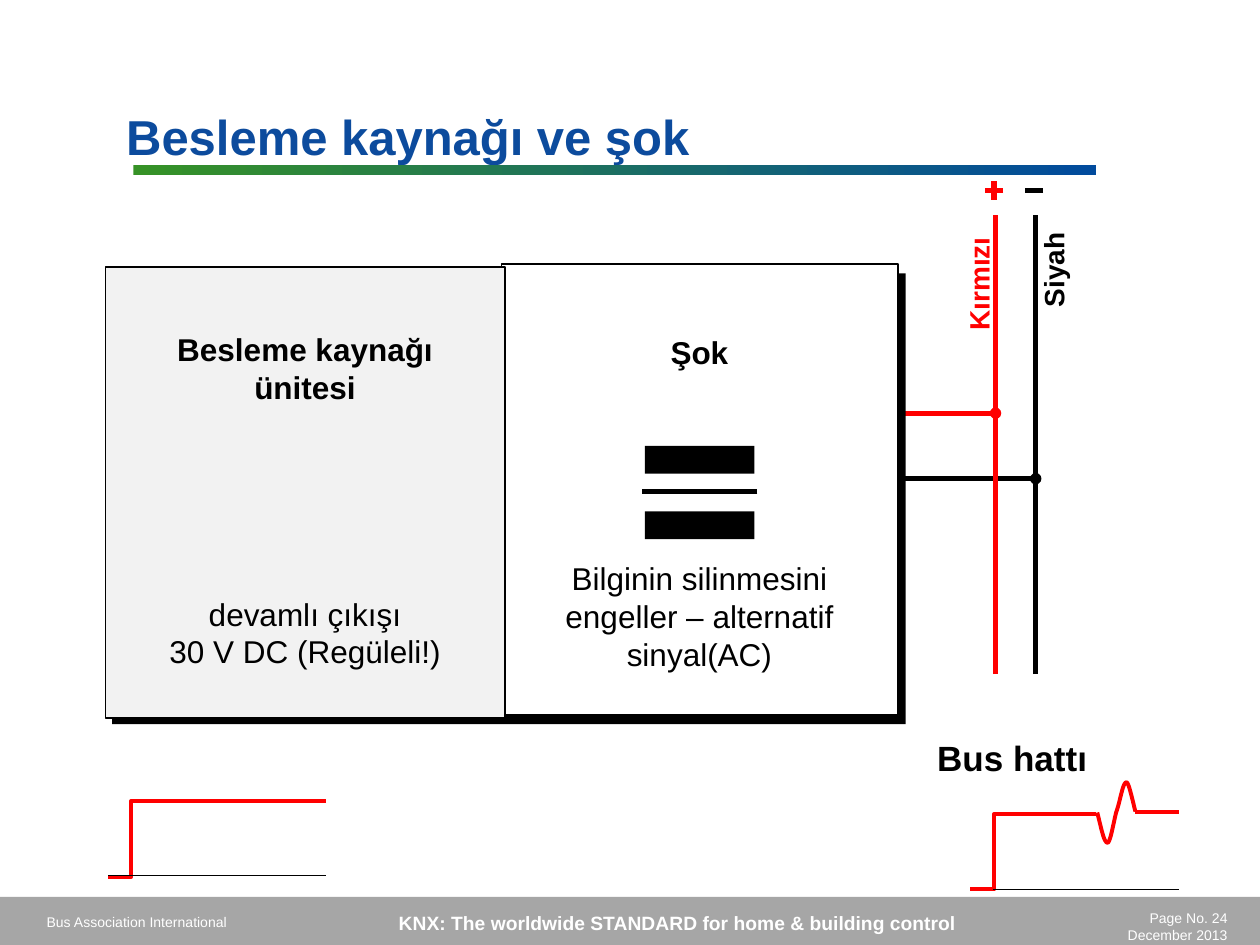
from typing import NamedTuple

from lxml.etree import SubElement
from pptx import Presentation
from pptx.dml.color import RGBColor
from pptx.enum.shapes import MSO_CONNECTOR as Conn, MSO_SHAPE as Geom
from pptx.enum.text import MSO_ANCHOR as Anchor, PP_ALIGN as Align
from pptx.oxml.ns import qn
from pptx.util import Cm, Pt

RED, BLACK, WHITE = "FF0000", "000000", "FFFFFF"


class Box(NamedTuple):
    x: float
    y: float
    w: float
    h: float


class Para(NamedTuple):
    text: str
    size: float
    color: str = BLACK
    bold: bool = False
    align: Align = Align.CENTER
    before: float = 0


class Line(NamedTuple):
    x1: float
    y1: float
    x2: float
    y2: float
    color: str = BLACK
    width: float = 3


class Step(NamedTuple):
    line: Line
    bend: int  # position of the rise, in 1/100000 of the width


def rgb(color: str) -> RGBColor:
    return RGBColor.from_string(color)


def write(tf, paras: list[Para]) -> None:
    for i, para in enumerate(paras):
        p = tf.paragraphs[0] if i == 0 else tf.add_paragraph()
        p.text, p.alignment = para.text, para.align
        p.space_before = Pt(para.before)
        p.font.name, p.font.size, p.font.bold = "Arial", Pt(para.size), para.bold
        p.font.color.rgb = rgb(para.color)


def add_text(shapes, box: Box, paras: list[Para], wrap: bool = True, rotation: float = 0):
    s = shapes.add_textbox(*map(Cm, box))
    s.rotation = rotation
    s.text_frame.word_wrap = wrap
    write(s.text_frame, paras)
    return s


def add_block(shapes, box: Box, fill: str, border: str = "", geom: Geom = Geom.RECTANGLE):
    s = shapes.add_shape(geom, *map(Cm, box))
    s.shadow.inherit = False
    s.fill.solid()
    s.fill.fore_color.rgb = rgb(fill)
    if border:
        s.line.color.rgb, s.line.width = rgb(border), Pt(1)
    else:
        s.line.fill.background()
    return s


def add_line(shapes, line: Line, kind: Conn = Conn.STRAIGHT):
    s = shapes.add_connector(kind, *map(Cm, line[:4]))
    s.line.color.rgb, s.line.width = rgb(line.color), Pt(line.width)
    SubElement(s.element.spPr, qn("a:effectLst"))
    return s


def add_step(shapes, step: Step) -> None:
    s = add_line(shapes, step.line, Conn.ELBOW)
    geom = s.element.spPr.find(qn("a:prstGeom"))
    guides = geom.find(qn("a:avLst"))
    if guides is None:
        guides = SubElement(geom, qn("a:avLst"))
    SubElement(guides, qn("a:gd"), name="adj1", fmla=f"val {step.bend}")


def add_curve(shapes, knots: list[tuple[float, float]], color: str, width: float) -> None:
    """Draw joined cubic curves; every third knot lies on the curve."""
    points = []
    for i in range(0, len(knots) - 1, 3):
        for n in range(1, 13):
            t = n / 12
            weights = ((1 - t) ** 3, 3 * t * (1 - t) ** 2, 3 * t * t * (1 - t), t ** 3)
            points.append(tuple(
                Cm(sum(k * knot[axis] for k, knot in zip(weights, knots[i:i + 4])))
                for axis in (0, 1)))
    builder = shapes.build_freeform(*map(Cm, knots[0]))
    builder.add_line_segments(points, close=False)
    s = builder.convert_to_shape()
    s.shadow.inherit = False
    s.fill.background()
    s.line.color.rgb, s.line.width = rgb(color), Pt(width)


def add_frame(shapes) -> None:
    # Footer
    add_block(shapes, Box(0, 18.08, 25.4, 0.97), "A6A6A6")
    add_text(shapes, Box(0.69, 18.29, 5.79, 0.61),
             [Para("Bus Association International", 8, WHITE, align=Align.LEFT)])
    add_text(shapes, Box(22.1, 18.21, 2.9, 0.94),
             [Para(text, 8, WHITE, align=Align.RIGHT)
              for text in ("Page No. 24", "December 2013")])
    add_text(shapes, Box(4.45, 18.24, 18.42, 0.74),
             [Para("KNX: The worldwide STANDARD for home & building control",
                   11, WHITE, True)])

    # Title and its rule
    rule = add_block(shapes, Box(2.69, 3.33, 19.41, 0.2), WHITE)
    rule.fill.gradient()
    rule.fill.gradient_angle = 0
    for stop, color in zip(rule.fill.gradient_stops, ("369226", "014B9D")):
        stop.color.rgb = rgb(color)
    title = shapes.title
    title.left, title.top, title.width, title.height = map(Cm, Box(2.29, 1.96, 18.64, 1.57))
    title.text_frame.vertical_anchor = Anchor.MIDDLE
    write(title.text_frame, [Para("Besleme kaynağı ve şok", 28, "0C4B9D", True, Align.LEFT)])


def add_bus(shapes) -> None:
    red_x, black_x = 20.07, 20.88
    red_y, black_y = 8.33, 9.65
    top, bottom, sign_y, dot = 4.34, 13.59, 3.84, 0.23

    add_line(shapes, Line(10.19, black_y, black_x, black_y))
    add_line(shapes, Line(15.21, red_y, red_x, red_y, RED))
    for x, y, color in ((red_x, red_y, RED), (black_x, black_y, BLACK)):
        add_block(shapes, Box(x - dot / 2, y - dot / 2, dot, dot), color, geom=Geom.OVAL)
        add_line(shapes, Line(x, bottom, x, top, color))
        add_line(shapes, Line(x + 0.15, sign_y, x - 0.21, sign_y, color))  # minus stroke
    add_line(shapes, Line(red_x - 0.03, sign_y + 0.19, red_x - 0.03, sign_y - 0.19, RED))

    add_text(shapes, Box(18.52, 5.26, 2.39, 0.91),
             [Para("Kırmızı", 16, RED, True, Align.LEFT)], False, 270)
    add_text(shapes, Box(20.22, 4.98, 2.01, 0.91),
             [Para("Siyah", 16, BLACK, True, Align.LEFT)], False, 270)
    add_text(shapes, Box(18.64, 14.73, 3.53, 1.02), [Para("Bus hattı", 20, bold=True)], False)


def add_units(shapes) -> None:
    # Shadow, choke and power supply
    add_block(shapes, Box(2.26, 5.51, 16, 9.09), BLACK)
    add_block(shapes, Box(10.11, 5.33, 8, 9.09), WHITE, BLACK)
    add_block(shapes, Box(2.13, 5.38, 8.05, 9.09), "F2F2F2", BLACK)
    add_text(shapes, Box(2.39, 6.53, 7.52, 7.11), [
        Para("Besleme kaynağı ünitesi", 18, bold=True),
        Para("devamlı çıkışı", 18, before=108),
        Para("30 V DC (Regüleli!)", 18)])
    add_text(shapes, Box(10.11, 6.58, 7.98, 7.11), [
        Para("Şok", 18, bold=True),
        Para("Bilginin silinmesini engeller – alternatif sinyal(AC)", 18, before=108)])

    # Choke symbol
    for y in (8.99, 10.31):
        add_block(shapes, Box(13, y, 2.21, 0.56), BLACK)
    add_line(shapes, Line(15.27, 9.91, 12.95, 9.91))


def add_signals(shapes) -> None:
    add_curve(shapes, [
        (22.12, 16.38), (22.2, 16.68), (22.25, 16.99), (22.33, 16.99),
        (22.38, 16.99), (22.45, 16.59), (22.5, 16.38),
        (22.58, 16.18), (22.63, 15.77), (22.71, 15.77),
        (22.76, 15.77), (22.86, 16.26), (22.89, 16.36)], RED, 2.25)
    add_line(shapes, Line(22.89, 16.36, 23.77, 16.36, RED, 2.25))
    for step in (Step(Line(2.18, 17.68, 6.58, 16.15, RED, 2.25), 10600),
                 Step(Line(19.56, 17.93, 22.1, 16.41, RED, 2.25), 19100)):
        add_step(shapes, step)
    for axis in (Line(20.02, 17.93, 23.77, 17.93, width=0.75),
                 Line(2.18, 17.65, 6.58, 17.65, width=0.75)):
        add_line(shapes, axis)


def main() -> None:
    prs = Presentation()
    prs.slide_width, prs.slide_height = Cm(25.4), Cm(19.05)
    shapes = prs.slides.add_slide(prs.slide_layouts[5]).shapes
    for add_part in (add_frame, add_bus, add_units, add_signals):
        add_part(shapes)
    prs.save("out.pptx")


if __name__ == "__main__":
    main()
